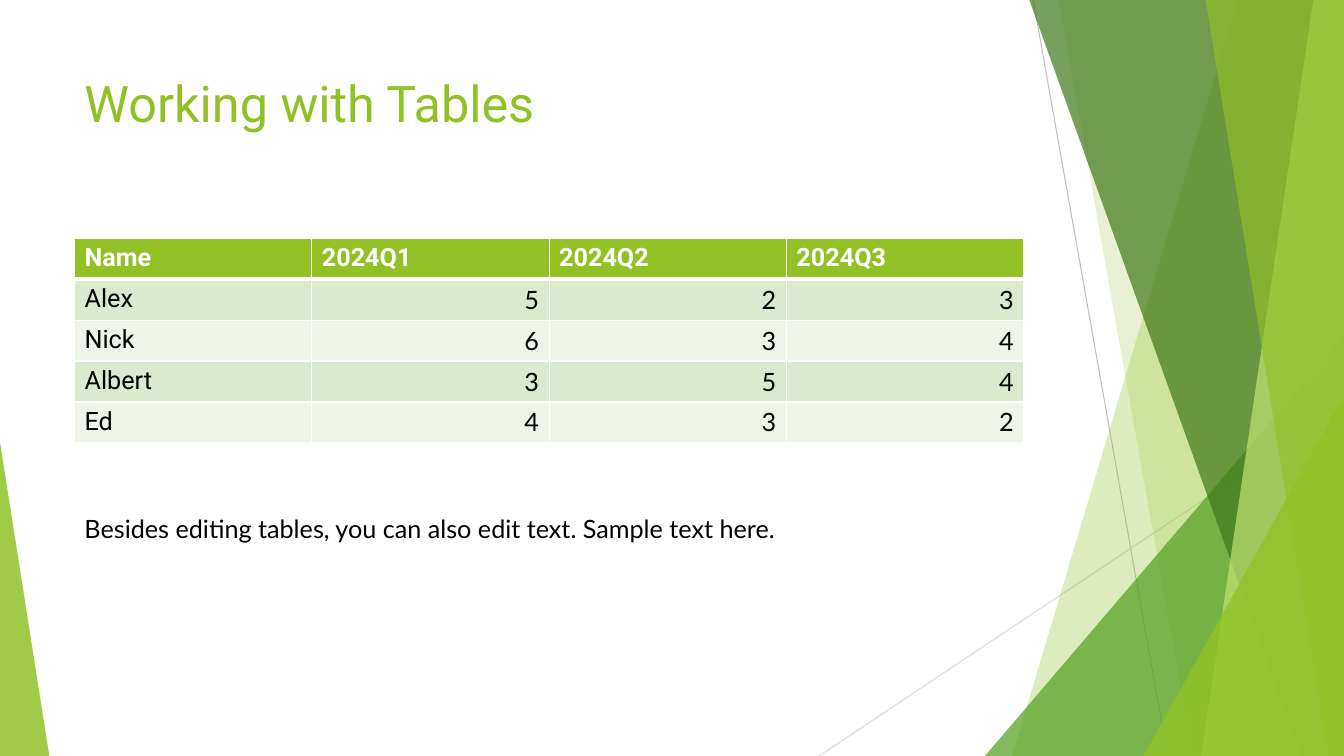
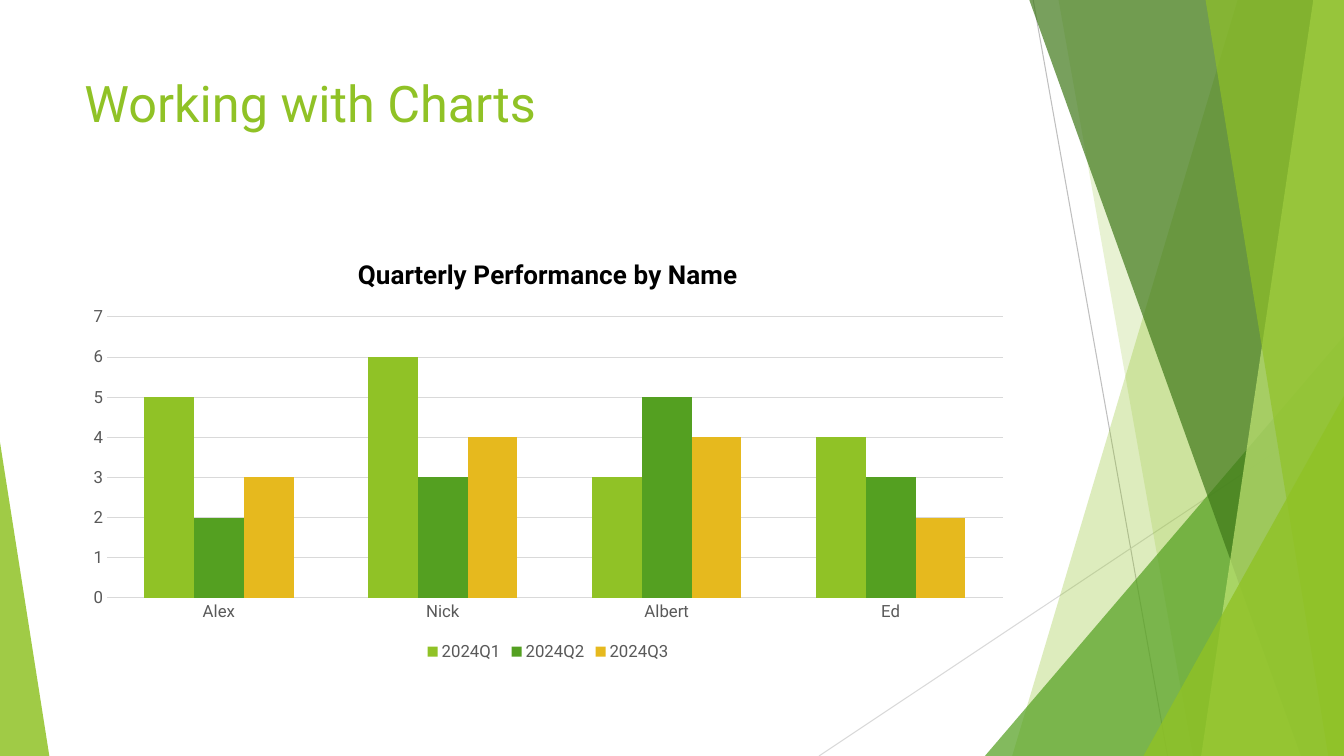
from lxml.etree import SubElement
from pptx import Presentation
from pptx.chart.data import CategoryChartData
from pptx.dml.color import RGBColor
from pptx.enum.chart import XL_CHART_TYPE, XL_LEGEND_POSITION, XL_TICK_MARK
from pptx.enum.shapes import MSO_CONNECTOR, MSO_SHAPE
from pptx.enum.text import MSO_ANCHOR, PP_ALIGN
from pptx.oxml import parse_xml
from pptx.oxml.ns import nsdecls, qn
from pptx.util import Pt

PX = 9525
WIDE, HIGH = 1280, 720
LEFT, TOP, SPAN = 71, 227, 902
LIME = RGBColor(0x90, 0xC2, 0x26)
GREEN = RGBColor(0x54, 0xA0, 0x21)
DARK = RGBColor(0x3F, 0x78, 0x19)
PALE = RGBColor(0xC0, 0xE4, 0x74)
GOLD = RGBColor(0xE6, 0xB9, 0x1E)
BANDS = RGBColor(0xEE, 0xF4, 0xE8), RGBColor(0xDB, 0xE9, 0xCD)
WHITE = RGBColor(0xFF, 0xFF, 0xFF)
BLACK = RGBColor(0, 0, 0)
GRAY = RGBColor(0x59, 0x59, 0x59)
SILVER = RGBColor(0xBF, 0xBF, 0xBF)
MIST = RGBColor(0xD9, 0xD9, 0xD9)
HEAD, BODY = "Roboto", "Lato"

RAYS = [((984, 0, 1112, HIGH), SILVER), ((WIDE, 387, 780, HIGH), MIST)]
SHARDS = [
    ("band", (1179, 964), LIME, 30),
    ("band", (1008, 1136), LIME, 20),
    ("wedge", (938, 320, 342, 400, 1), GREEN, 72),
    ("band", (980, 1239), DARK, 70),
    ("band", (1251, 1144), PALE, 70),
    ("band", (1148, 1265), LIME, 65),
    ("wedge", (1089, 377, 191, 343, 1), LIME, 80),
    ("wedge", (0, 421, 47, 299, 0), LIME, 85),
]
NAMES = ["Alex", "Nick", "Albert", "Ed"]
SCORES = {"2024Q1": [5, 6, 3, 4], "2024Q2": [2, 3, 5, 3], "2024Q3": [3, 4, 4, 2]}


class Deck:
    """Holds the shared style and the slide being drawn."""

    def __init__(self):
        self.file = Presentation()
        self.file.slide_width, self.file.slide_height = WIDE * PX, HIGH * PX
        self.shapes = None

    def page(self, title):
        self.shapes = self.file.slides.add_slide(self.file.slide_layouts[6]).shapes
        for ends, color in RAYS:
            self.ray(ends, color)
        for kind, place, color, alpha in SHARDS:
            draw = self.band if kind == "band" else self.wedge
            self.tint(draw(*place), color, alpha)
        self.text(title, 64, 138, 36, HEAD, LIME)

    def font(self, font, size, face, color, bold=False):
        font.size, font.name, font.bold = Pt(size), face, bold
        font.color.rgb = color

    def ray(self, ends, color):
        line = self.shapes.add_connector(MSO_CONNECTOR.STRAIGHT, *[n * PX for n in ends])
        line.line.color.rgb, line.line.width = color, Pt(0.75)
        SubElement(line.element.spPr, qn("a:effectLst"))

    def band(self, top, foot):
        pen = self.shapes.build_freeform(top, -1, scale=PX)
        pen.add_line_segments([(WIDE, -1), (WIDE, HIGH), (foot, HIGH)])
        return pen.convert_to_shape()

    def wedge(self, left, top, width, height, peak):
        box = [n * PX for n in (left, top, width, height)]
        shape = self.shapes.add_shape(MSO_SHAPE.ISOSCELES_TRIANGLE, *box)
        shape.adjustments[0] = peak
        return shape

    def tint(self, shape, color, alpha):
        shape.shadow.inherit = False
        shape.line.fill.background()
        shape.fill.solid()
        shape.fill.fore_color.rgb = color
        tone = shape.element.spPr.find(qn("a:solidFill"))[0]
        SubElement(tone, qn("a:alpha")).set("val", str(alpha * 1000))

    def text(self, words, top, height, size, face, color):
        box = self.shapes.add_textbox(LEFT * PX, top * PX, SPAN * PX, height * PX)
        frame = box.text_frame
        frame.word_wrap, frame.vertical_anchor = True, MSO_ANCHOR.TOP
        frame.text = words
        self.font(frame.paragraphs[0].runs[0].font, size, face, color)

    def edge(self, cell, row):
        props = cell._tc.get_or_add_tcPr()
        widths = {"L": 1, "R": 1, "T": 3 if row == 1 else 1, "B": 3 if row == 0 else 1}
        for spot, (side, width) in enumerate(widths.items()):
            props.insert(spot, parse_xml(
                f'<a:ln{side} {nsdecls("a")} w="{Pt(width)}"><a:solidFill>'
                f'<a:srgbClr val="{WHITE}"/></a:solidFill></a:ln{side}>'))

    def table(self, rows, wide, high):
        count = len(rows[0])
        grid = self.shapes.add_table(len(rows), count, LEFT * PX, TOP * PX,
                                     count * wide * PX, len(rows) * high * PX).table
        grid.horz_banding = False
        for col in grid.columns:
            col.width = wide * PX
        for r, row in enumerate(rows):
            grid.rows[r].height = high * PX
            for c, value in enumerate(row):
                self.cell(grid.cell(r, c), r, c, value)

    def cell(self, cell, row, col, value):
        top, number = row == 0, row > 0 and col > 0
        cell.fill.solid()
        cell.fill.fore_color.rgb = LIME if top else BANDS[row % 2]
        self.edge(cell, row)
        cell.text_frame.text = str(value)
        para = cell.text_frame.paragraphs[0]
        para.alignment = PP_ALIGN.RIGHT if number else PP_ALIGN.LEFT
        self.font(para.runs[0].font, 18, BODY if number else HEAD,
                  WHITE if top else BLACK, top)

    def chart(self, title, names, scores, colors, height):
        data = CategoryChartData()
        data.categories = names
        for name, values in scores.items():
            data.add_series(name, values)
        chart = self.shapes.add_chart(XL_CHART_TYPE.COLUMN_CLUSTERED, LEFT * PX, TOP * PX,
                                      SPAN * PX, height * PX, data).chart
        self.font(chart.font, 10, HEAD, BLACK)
        frame = chart.chart_title.text_frame
        frame.text = title
        self.font(frame.paragraphs[0].runs[0].font, 18.6, HEAD, BLACK, True)
        chart.chart_title.include_in_layout = False
        chart.has_legend = True
        chart.legend.position = XL_LEGEND_POSITION.BOTTOM
        chart.legend.include_in_layout = False
        self.font(chart.legend.font, 12, HEAD, GRAY)
        plot = chart.plots[0]
        plot.gap_width, plot.overlap, plot.vary_by_categories = 150, 0, False
        for bar, color in zip(plot.series, colors):
            bar.format.fill.solid()
            bar.format.fill.fore_color.rgb = color
        self.axes(chart.category_axis, chart.value_axis)

    def axes(self, base, scale):
        for axis in (base, scale):
            axis.major_tick_mark = axis.minor_tick_mark = XL_TICK_MARK.NONE
            self.font(axis.tick_labels.font, 12, HEAD, GRAY)
        scale.minimum_scale, scale.maximum_scale, scale.major_unit = 0, 7, 1
        scale.format.line.fill.background()
        scale.has_major_gridlines = True
        for line in (base.format.line, scale.major_gridlines.format.line):
            line.color.rgb, line.width = MIST, Pt(0.75)


def main():
    """Builds and saves both slides."""
    deck = Deck()
    deck.page("Working with Tables")
    deck.table([["Name", *SCORES], *zip(NAMES, *SCORES.values())], 226, 39)
    deck.text("Besides editing tables, you can also edit text. Sample text here.",
              484, 38, 18, BODY, BLACK)
    deck.page("Working with Charts")
    deck.chart("Quarterly Performance by Name", NAMES, SCORES, (LIME, GREEN, GOLD), 407)
    deck.file.save("out.pptx")


if __name__ == "__main__":
    main()
